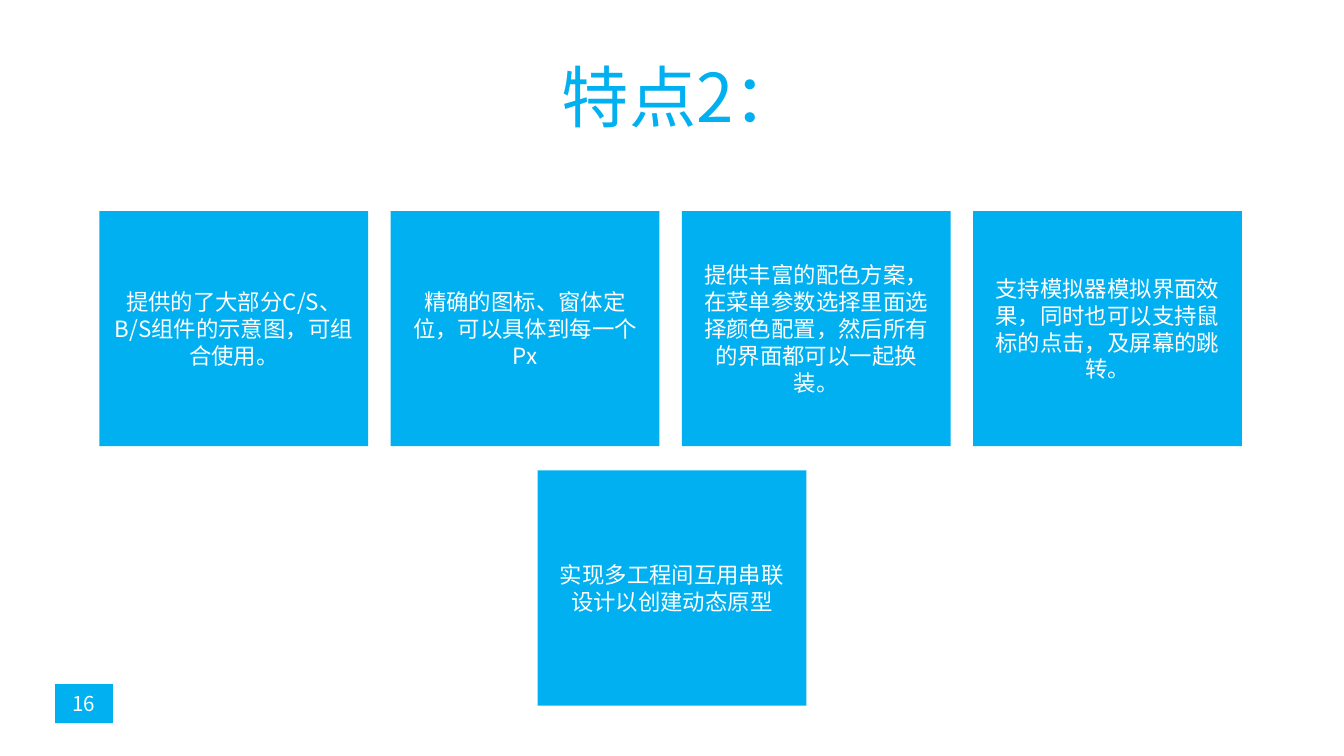
from lxml import etree
from pptx import Presentation
from pptx.dml.color import RGBColor
from pptx.enum.shapes import MSO_SHAPE
from pptx.enum.text import MSO_ANCHOR, PP_ALIGN
from pptx.oxml.ns import qn
from pptx.util import Inches, Pt

RECT = MSO_SHAPE.RECTANGLE
MIDDLE, BOTTOM = MSO_ANCHOR.MIDDLE, MSO_ANCHOR.BOTTOM
CENTER = PP_ALIGN.CENTER

TITLE = "特点2："
PAGE_NUMBER = "16"
FEATURE_ROWS = [
    (0.74, 1.57, [
        "提供的了大部分C/S、B/S组件的示意图，可组合使用。",
        "精确的图标、窗体定位，可以具体到每一个Px",
        "提供丰富的配色方案，在菜单参数选择里面选择颜色配置，然后所有的界面都可以一起换装。",
        "支持模拟器模拟界面效果，同时也可以支持鼠标的点击，及屏幕的跳转。",
    ]),
    (4, 3.5, ["实现多工程间互用串联设计以创建动态原型"]),
]

THEME = {
    "accent": RGBColor(0x00, 0xB0, 0xF0),
    "white": RGBColor(0xFF, 0xFF, 0xFF),
    "heading_font": "Noto Sans CJK KR",
    "body_font": "Noto Sans CJK SC",
    "title_size": 36,
    "feature_size": 12,
    "page_size": 11,
}

SLIDE_W = 10
SLIDE_H = SLIDE_W * 9 / 16
CARD_W, CARD_H = 2, 1.75
PITCH = 6.5 / 3


def write(shape, text, font_name, size, color, anchor):
    frame = shape.text_frame
    frame.word_wrap = True
    frame.vertical_anchor = anchor
    paragraph = frame.paragraphs[0]
    paragraph.alignment = CENTER
    paragraph._p.get_or_add_pPr().set("hangingPunct", "0")
    run = paragraph.add_run()
    run.text = text
    run.font.name = font_name
    run.font.size = Pt(size)
    run.font.color.rgb = color
    etree.SubElement(run.font._element, qn("a:ea"), typeface=font_name)


def add_block(slide, left, top, width, height):
    block = slide.shapes.add_shape(
        RECT, Inches(left), Inches(top), Inches(width), Inches(height))
    block.shadow.inherit = False
    block.fill.solid()
    block.fill.fore_color.rgb = THEME["accent"]
    block.line.fill.background()
    return block


def main():
    deck = Presentation()
    deck.slide_width, deck.slide_height = Inches(SLIDE_W), Inches(SLIDE_H)
    slide = deck.slides.add_slide(deck.slide_layouts[5])

    heading = slide.shapes.title
    heading.left, heading.top = Inches(1.45), Inches(0.32)
    heading.width, heading.height = Inches(7.24), Inches(0.74)
    write(heading, TITLE, THEME["heading_font"], THEME["title_size"],
          THEME["accent"], BOTTOM)

    page_badge = add_block(slide, 0.41, 5.09, 0.43, 0.29)
    page_badge.text_frame.margin_left = page_badge.text_frame.margin_right = 0
    write(page_badge, PAGE_NUMBER, THEME["heading_font"], THEME["page_size"],
          THEME["white"], MIDDLE)

    for row_left, row_top, features in FEATURE_ROWS:
        for column, feature in enumerate(features):
            card = add_block(slide, row_left + column * PITCH, row_top,
                             CARD_W, CARD_H)
            write(card, feature, THEME["body_font"], THEME["feature_size"],
                  THEME["white"], MIDDLE)

    deck.save("out.pptx")


if __name__ == "__main__":
    main()
